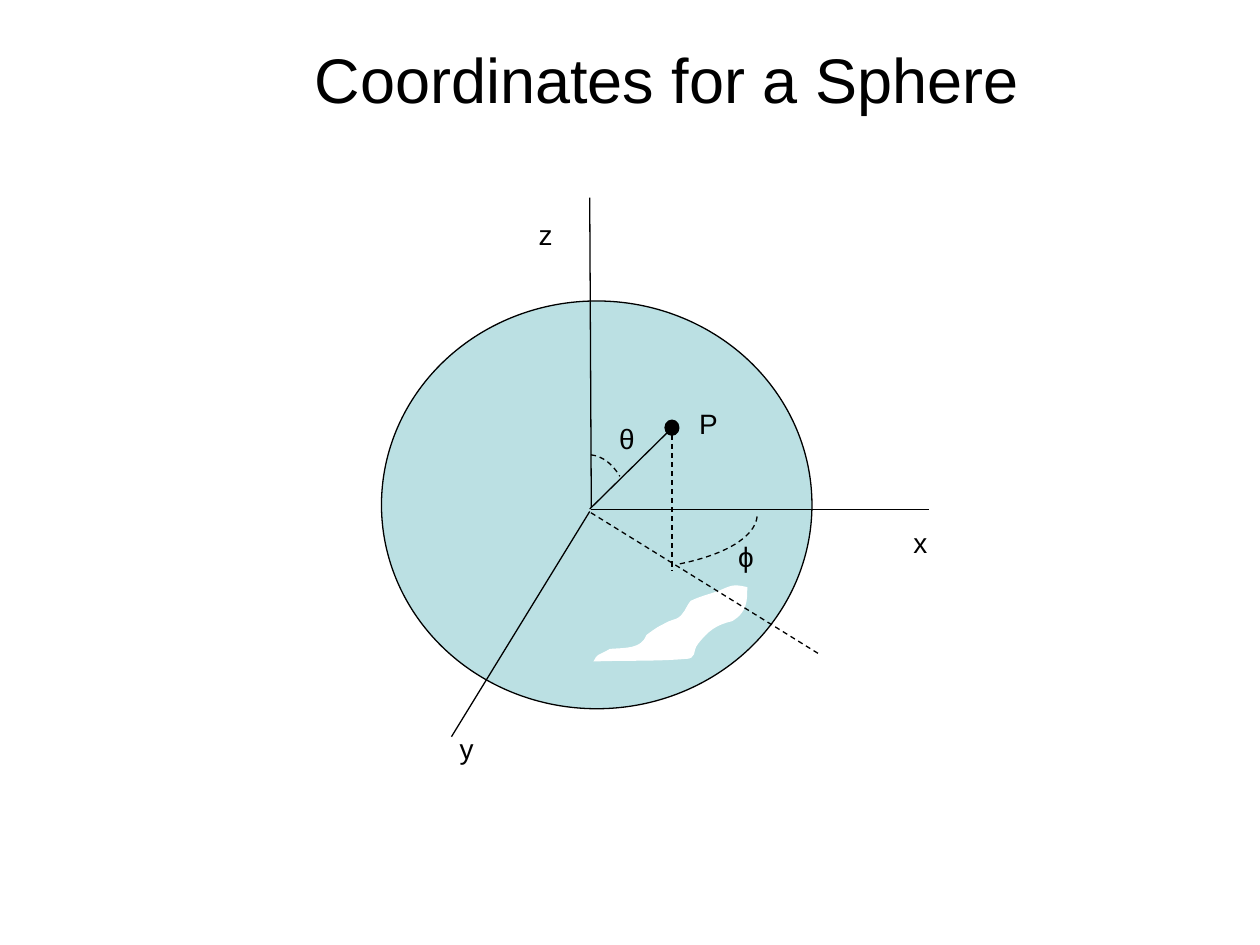
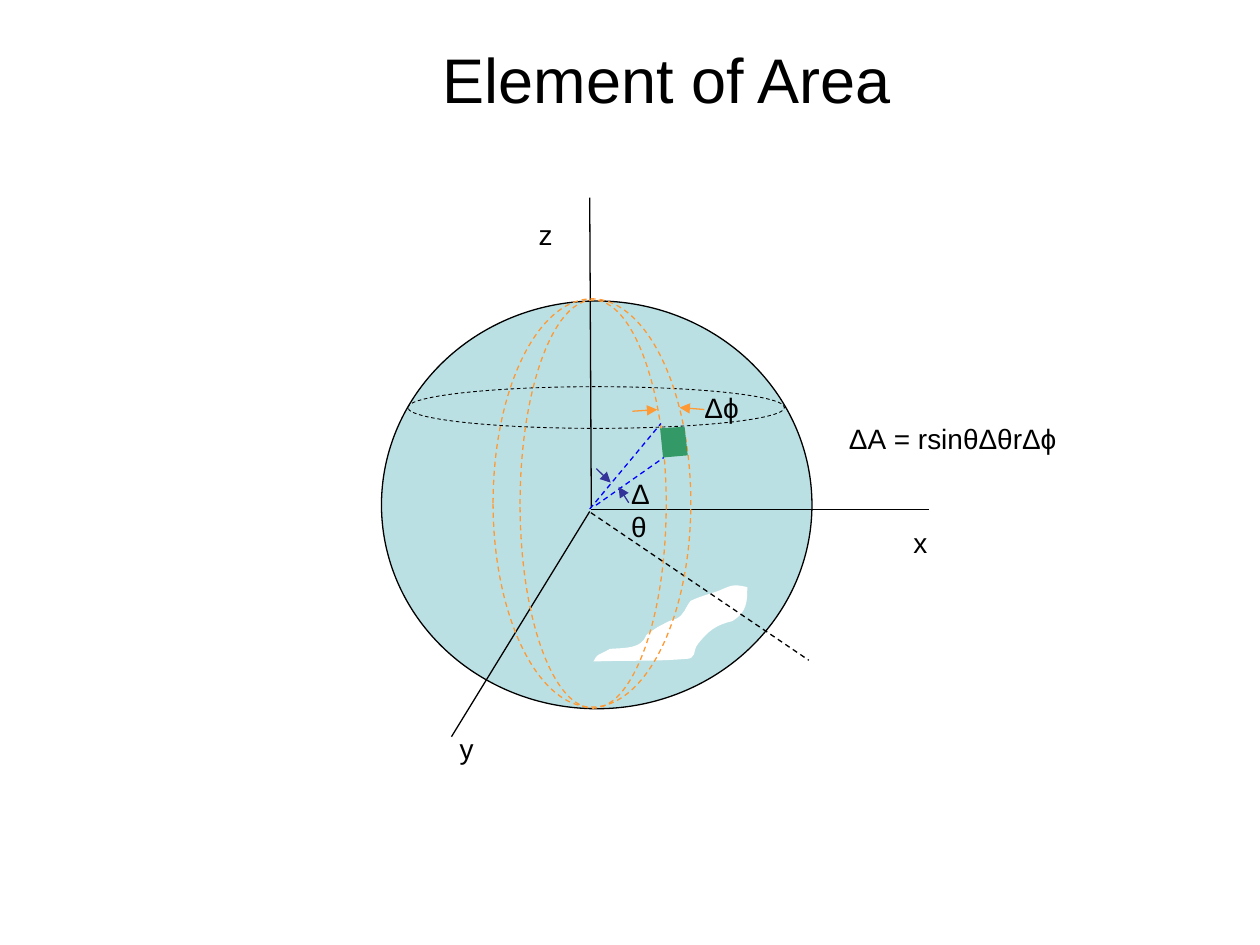
from copy import deepcopy

from lxml import etree
from pptx import Presentation
from pptx.dml.color import RGBColor
from pptx.enum import dml, lang, shapes, text
from pptx.oxml.ns import qn
from pptx.util import Pt

FONT = "Arial"
COLORS = {"ink": "000000", "sphere": "BBE0E3", "white": "FFFFFF", "ray": "0000FF",
          "meridian": "FF9933", "patch": "339966", "angle": "333399"}

# Highlight on the sphere: start point, then control, control, end of each curve
HIGHLIGHT = [
    (339.1, 378),
    (356.4, 377.3), (373.7, 378), (391, 376.6),
    (398.9, 376.6), (395.3, 372.2), (398.9, 367.9),
    (404.6, 360.7), (409, 357.1), (418.3, 355),
    (427, 349.9), (427, 343.4), (427, 335.5),
    (418.3, 333.4), (417.6, 334.8), (410.4, 337.7),
    (404.6, 339.8), (400.3, 340.6), (394.6, 343.4),
    (391.7, 347), (391, 351.4), (386.6, 353.5),
    (385.2, 354.2), (383.8, 354.2), (382.3, 355),
    (375.1, 358.6), (375.1, 358.6), (369.4, 362.9),
    (366.5, 370.8), (357.8, 370.1), (348.5, 370.8),
    (339.8, 375.8), (342, 373), (339.1, 378),
]


def rgb(name):
    return RGBColor.from_string(COLORS[name])


def style_line(line, color, width=0.75, dashed=False):
    if color is None:
        line.fill.background()
        return
    line.color.rgb = rgb(color)
    line.width = Pt(width)
    if dashed:
        line.dash_style = dml.MSO_LINE.DASH


def style_shape(sp, fill=None, line=None, **line_format):
    sp.shadow.inherit = False
    if fill:
        sp.fill.solid()
        sp.fill.fore_color.rgb = rgb(fill)
    else:
        sp.fill.background()
    style_line(sp.line, line, **line_format)


def write(tf, *runs, size=16, align=text.PP_ALIGN.LEFT):
    """Write the runs; a run that starts with a Greek letter is marked as Greek."""
    p = tf.paragraphs[0]
    p.alignment = align
    for content in runs:
        r = p.add_run()
        r.text = content
        r.font.name = FONT
        r.font.size = Pt(size)
        r.font.color.rgb = rgb("ink")
        greek = content[0] in "Δθϕ"
        r.font.language_id = (lang.MSO_LANGUAGE_ID.GREEK if greek
                              else lang.MSO_LANGUAGE_ID.ENGLISH_US)


def add_label(slide, x, y, w, *runs, wrap=False):
    tf = slide.shapes.add_textbox(Pt(x), Pt(y), Pt(w), Pt(26.6)).text_frame
    tf.word_wrap = wrap
    tf.auto_size = text.MSO_AUTO_SIZE.SHAPE_TO_FIT_TEXT
    write(tf, *runs)


def add_line(slide, start, end, color="ink", dashed=False, arrow=False):
    sp = slide.shapes.add_connector(shapes.MSO_CONNECTOR.STRAIGHT,
                                    *map(Pt, (*start, *end)))
    style_line(sp.line, color, dashed=dashed)
    if arrow:
        ln = sp._element.spPr.find(qn("a:ln"))
        etree.SubElement(ln, qn("a:tailEnd"), type="triangle")
    etree.SubElement(sp._element.spPr, qn("a:effectLst"))


def add_ellipse(slide, x, y, w, h, **style):
    sp = slide.shapes.add_shape(shapes.MSO_SHAPE.OVAL, Pt(x), Pt(y), Pt(w), Pt(h))
    style_shape(sp, **style)


def add_outline(slide, points, **style):
    """Closed freeform; returns its path element."""
    points = [(Pt(x), Pt(y)) for x, y in points]
    builder = slide.shapes.build_freeform(*points[0], scale=1.0)
    builder.add_line_segments(points[1:], close=True)
    sp = builder.convert_to_shape()
    style_shape(sp, **style)
    return next(sp._element.iter(qn("a:path")))


def bend(path_el):
    """Turn each three line segments of the path into one cubic curve."""
    segments = path_el.findall(qn("a:lnTo"))
    for i in range(0, len(segments) - 2, 3):
        curve = etree.Element(qn("a:cubicBezTo"))
        segments[i].addprevious(curve)
        for segment in segments[i:i + 3]:
            curve.append(segment[0])
            path_el.remove(segment)


def add_arc(slide, *curve, center):
    """Dashed arc over an unlined sector that reaches to the center."""
    sector = add_outline(slide, [*curve, center], line="ink", dashed=True)
    bend(sector)
    arc = deepcopy(sector)
    for tag in ("a:lnTo", "a:close"):
        arc.remove(arc.find(qn(tag)))
    arc.set("fill", "none")
    sector.set("stroke", "0")
    sector.addprevious(arc)


def add_sphere_slide(prs, title):
    """Slide with the title, the sphere and its three axes."""
    slide = prs.slides.add_slide(prs.slide_layouts[5])
    sp = slide.shapes.title
    sp.left, sp.top, sp.width, sp.height = Pt(126), Pt(0), Pt(510), Pt(90)
    sp.text_frame.vertical_anchor = text.MSO_ANCHOR.MIDDLE
    write(sp.text_frame, title, size=36, align=text.PP_ALIGN.CENTER)

    add_ellipse(slide, 218, 172, 246, 233, fill="sphere", line="ink")
    for start, end in [((337, 113), (337.9, 290.2)),
                       ((337.7, 291.1), (531, 291.1)),
                       ((337, 292.3), (258, 421))]:
        add_line(slide, start, end)
    bend(add_outline(slide, HIGHLIGHT, fill="white"))
    for name, x, y in [("z", 300.7, 121), ("x", 514.8, 296.6), ("y", 255.6, 414.7)]:
        add_label(slide, x, y, 22.3, name)
    return slide


def add_coordinates_slide(prs):
    slide = add_sphere_slide(prs, "Coordinates for a Sphere")
    # Point P, its radius and its projection
    add_line(slide, (337, 290.9), (385.2, 243.4))
    add_ellipse(slide, 380, 240.1, 7.9, 8.6, fill="ink", line="ink")
    add_line(slide, (337.7, 293), (468, 373.7), dashed=True)
    add_line(slide, (384, 243.4), (384, 326.2), dashed=True)
    # Angles
    add_arc(slide, (337.7, 259.9), (344.2, 260.6), (350, 265), (354.2, 272.2),
            center=(334.1, 295.2))
    add_arc(slide, (432.7, 295.2), (431.3, 307.4), (413.3, 317.5), (386.6, 322.6),
            center=(357.8, 293.8))
    add_label(slide, 392.4, 229, 25.2, "P")
    add_label(slide, 346.7, 237.6, 23, "θ")
    add_label(slide, 414.7, 304.6, 24.5, "ϕ")


def add_area_slide(prs):
    slide = add_sphere_slide(prs, "Element of Area")
    # Parallel and meridians
    add_line(slide, (337.7, 293), (462.2, 377.3), dashed=True)
    add_ellipse(slide, 233, 221, 215.3, 23.8, line="ink", width=0.5, dashed=True)
    for x, y, w in [(297.2, 171.4, 83.5), (281.8, 170.8, 113)]:
        add_ellipse(slide, x, y, w, 233.3, line="meridian", dashed=True)
    # Rays to the area element
    add_line(slide, (337, 290.9), (377.7, 242), color="ray", dashed=True)
    add_line(slide, (340.6, 288.7), (379.4, 261.4), color="ray", dashed=True)
    add_outline(slide, [(377.2, 244.8), (391.2, 243.8), (393, 260.2), (378.9, 261.4)],
                fill="patch")
    # Arrows that mark the two increments
    for color, start, end in [("meridian", (361.4, 235), (375.6, 234.1)),
                              ("meridian", (402.5, 234), (388.3, 232.9)),
                              ("angle", (340.8, 267.8), (349, 275.8)),
                              ("angle", (359.3, 287.3), (353.5, 278.2))]:
        add_line(slide, start, end, color=color, arrow=True)
    add_label(slide, 395.5, 219.6, 33.8, "Δϕ")
    add_label(slide, 353.5, 268.7, 32.4, "Δθ", wrap=True)
    add_label(slide, 478, 237.6, 170, "ΔA", " = rsin", "θΔθ", "r", "Δϕ", wrap=True)


def main():
    prs = Presentation()
    prs.slide_width, prs.slide_height = Pt(720), Pt(540)
    add_coordinates_slide(prs)
    add_area_slide(prs)
    prs.save("out.pptx")


if __name__ == "__main__":
    main()
